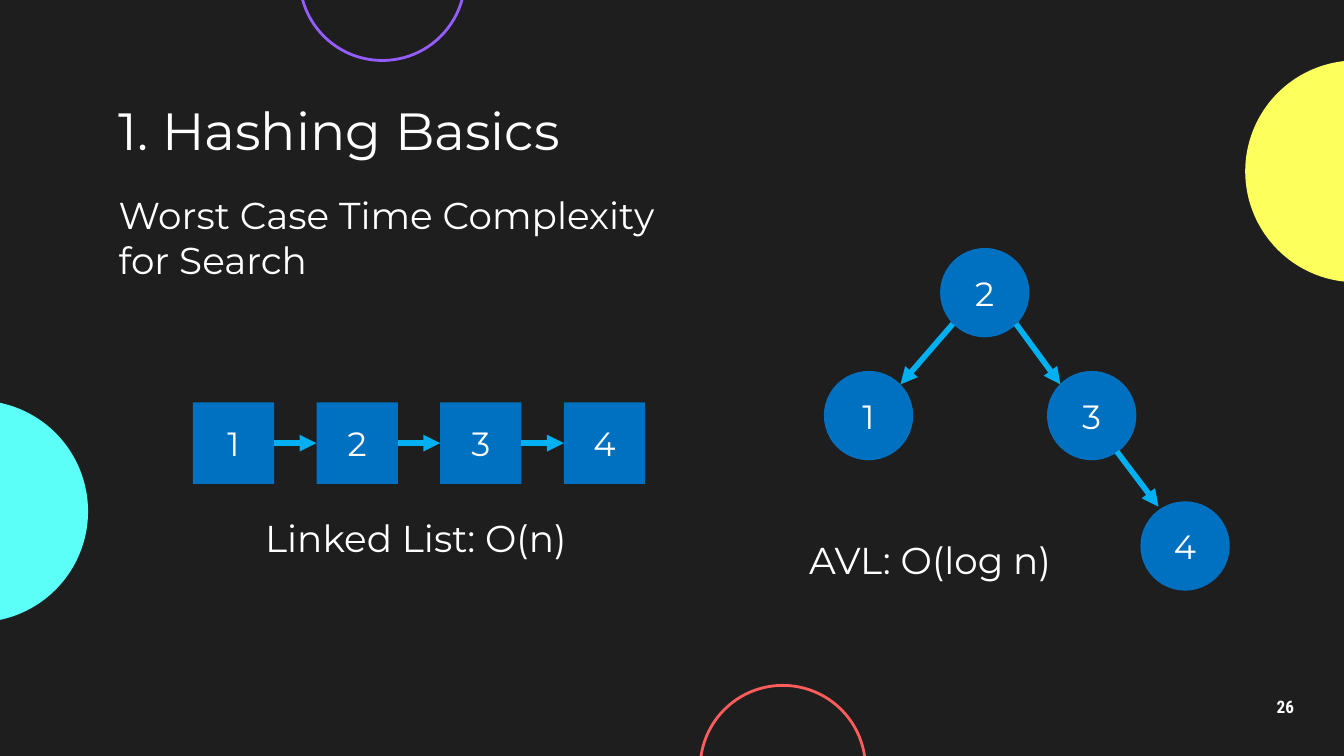
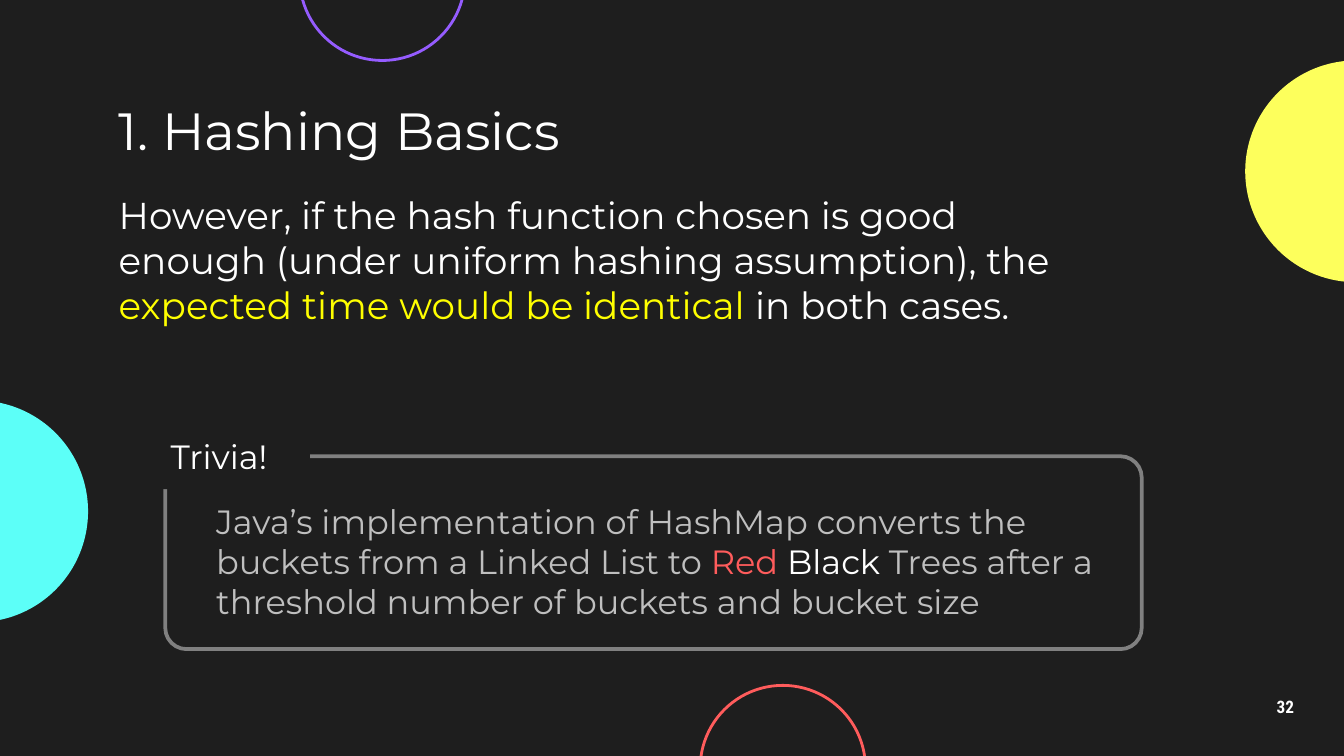
from itertools import pairwise
from lxml.etree import SubElement
from pptx import Presentation
from pptx.dml.color import RGBColor
from pptx.enum.shapes import MSO_CONNECTOR as Connector, MSO_SHAPE as Shape
from pptx.enum.text import MSO_ANCHOR as Anchor, PP_ALIGN as Align
from pptx.oxml.ns import qn
from pptx.util import Pt

PX = 4572  # EMU per px, 200 px to the inch

BACKGROUND = RGBColor(0x1E, 0x1E, 0x1E)
WHITE = RGBColor(0xFF, 0xFF, 0xFF)
CYAN = RGBColor(0x5C, 0xFF, 0xF8)
LEMON = RGBColor(0xFD, 0xFF, 0x5C)
PURPLE = RGBColor(0x95, 0x5C, 0xFF)
CORAL = RGBColor(0xFF, 0x5C, 0x5C)
NODE_BLUE = RGBColor(0x00, 0x70, 0xC0)
ARROW_BLUE = RGBColor(0x00, 0xB0, 0xF0)
YELLOW = RGBColor(0xFF, 0xFF, 0x00)
LIGHT_GREY = RGBColor(0xBF, 0xBF, 0xBF)
FRAME_GREY = RGBColor(0x80, 0x80, 0x80)

BODY = {"name": "Montserrat", "size": Pt(20), "bold": False}
TITLE = BODY | {"size": Pt(28)}
LABEL = BODY | {"size": Pt(18)}
NUMBER = {"name": "Roboto Condensed", "size": Pt(9.2), "bold": True}


def add_shape(slide, kind, box, fill=None, line=None, width=1.5):
    shape = slide.shapes.add_shape(kind, *[length * PX for length in box])
    shape.shadow.inherit = False
    if fill is None:
        shape.fill.background()
    else:
        shape.fill.solid()
        shape.fill.fore_color.rgb = fill
    if line is None:
        shape.line.fill.background()
    else:
        shape.line.color.rgb = line
        shape.line.width = Pt(width)
    return shape


def write(target, paragraphs, font, align=Align.LEFT, anchor=Anchor.TOP, inset=20):
    """Fill a shape, or a new text box on (slide, box), with lists of (text, colour)."""
    if isinstance(target, tuple):
        slide, box = target
        target = slide.shapes.add_textbox(*[length * PX for length in box])
    frame = target.text_frame
    frame.word_wrap = True
    frame.vertical_anchor = anchor
    for side in ("left", "top", "right", "bottom"):
        setattr(frame, f"margin_{side}", inset * PX)
    for index, runs in enumerate(paragraphs):
        paragraph = frame.add_paragraph() if index else frame.paragraphs[0]
        paragraph.alignment = align
        for text, colour in runs:
            run = paragraph.add_run()
            run.text = text
            for name, value in font.items():
                setattr(run.font, name, value)
            run.font.color.rgb = colour
    return frame


presentation = Presentation()
presentation.slide_width = 2000 * PX
presentation.slide_height = 1125 * PX

# Shared background, circles, slide number and title
slides = []
for number in ("26", "32"):
    slide = presentation.slides.add_slide(presentation.slide_layouts[6])
    slide.background.fill.solid()
    slide.background.fill.fore_color.rgb = BACKGROUND
    for left, top, size, fill, line in (
        (-199, 596, 330, CYAN, None),
        (1853, 90, 330, LEMON, None),
        (446, -156, 246, None, PURPLE),
        (1042, 1020, 246, None, CORAL),
    ):
        add_shape(slide, Shape.OVAL, (left, top, size, size), fill, line)
    frame = write((slide, (1853, 1020, 120, 68)), [[(number, WHITE)]], NUMBER,
                  Align.CENTER, Anchor.MIDDLE)
    frame.paragraphs[0].line_spacing = 0.9
    write((slide, (157, 142, 1688, 102)), [[("1. Hashing Basics", WHITE)]], TITLE,
          anchor=Anchor.MIDDLE)
    slides.append(slide)
complexity, trivia = slides

# Slide 1: worst case of search
write((complexity, (157, 266, 880, 102)),
      [[("Worst Case Time Complexity for Search", WHITE)]], BODY)

# List boxes and tree nodes
list_nodes = [
    (text, Shape.RECTANGLE, 287 + 184 * index, 599, 121) for index, text in enumerate("1234")
]
tree_nodes = [
    (text, Shape.OVAL, left, top, 133)
    for text, left, top in (("2", 1399, 369), ("1", 1226, 552), ("3", 1558, 552), ("4", 1697, 746))
]
nodes = []
for text, kind, left, top, size in list_nodes + tree_nodes:
    node = add_shape(complexity, kind, (left, top, size, size), NODE_BLUE)
    write(node, [[(text, WHITE)]], LABEL, Align.CENTER, Anchor.MIDDLE, inset=10)
    nodes.append(node)

# Arrows of the list, then of the tree
arrows = []
for previous, following in pairwise(nodes[:4]):
    arrow = complexity.shapes.add_connector(Connector.STRAIGHT, 0, 0, 0, 0)
    arrow.begin_connect(previous, 3)
    arrow.end_connect(following, 1)
    arrows.append(arrow)
for ends in ((1512, 482, 1578, 572), (1662, 672, 1724, 754), (1418, 482, 1340, 572)):
    arrows.append(complexity.shapes.add_connector(
        Connector.STRAIGHT, *[length * PX for length in ends]))
for arrow in arrows:
    arrow.line.color.rgb = ARROW_BLUE
    arrow.line.width = Pt(3)
    SubElement(arrow.line._get_or_add_ln(), qn("a:tailEnd"), type="triangle")
    SubElement(arrow._element.spPr, qn("a:effectLst"))

# Captions
for text, left, top in (("Linked List: O(n)", 349, 747), ("AVL: O(log n)", 1114, 780)):
    write((complexity, (left, top, 540, 102)), [[(text, WHITE)]], BODY, Align.CENTER)

# Slide 2: expected time
write((trivia, (157, 266, 1466, 102)), [
    [("However, if the hash function chosen is good enough "
      "(under uniform hashing assumption), the", WHITE)],
    [("expected time would be identical ", YELLOW), ("in both cases.", WHITE)],
], BODY)

# Trivia frame, its heading covering the top left corner
write((trivia, (302, 725, 1370, 102)), [[
    ("Java’s implementation of HashMap converts the buckets from a Linked List to ", LIGHT_GREY),
    ("Red ", CORAL),
    ("Black", WHITE),
    (" Trees after a threshold number of buckets and bucket size", LIGHT_GREY),
]], LABEL)
border = add_shape(trivia, Shape.ROUNDED_RECTANGLE, (246, 679, 1453, 287),
                   line=FRAME_GREY, width=2)
border.adjustments[0] = 0.11
heading = add_shape(trivia, Shape.RECTANGLE, (191, 630, 270, 98), BACKGROUND)
write(heading, [[("Trivia!", WHITE)]], LABEL, Align.CENTER, Anchor.MIDDLE, inset=10)

presentation.save("out.pptx")
